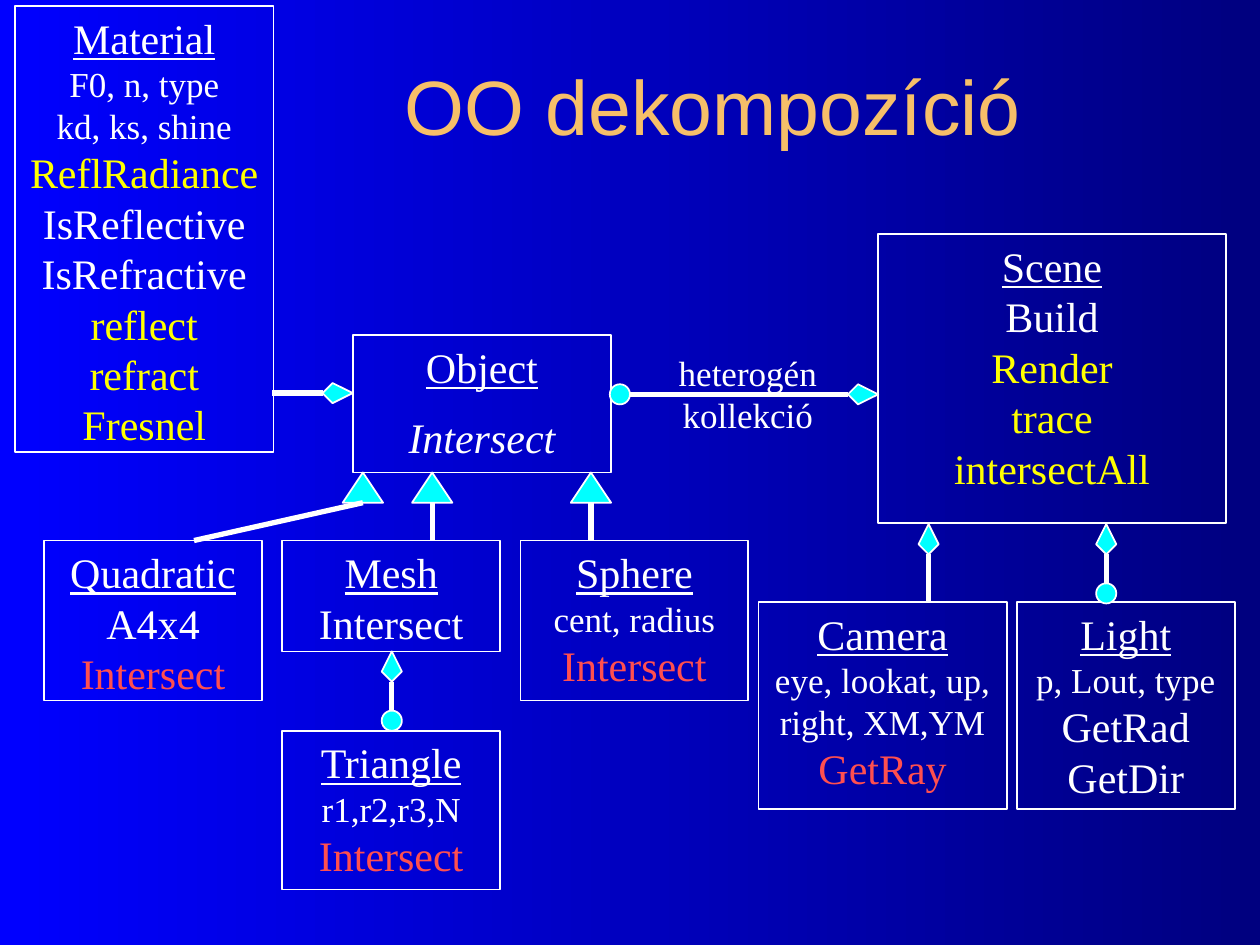
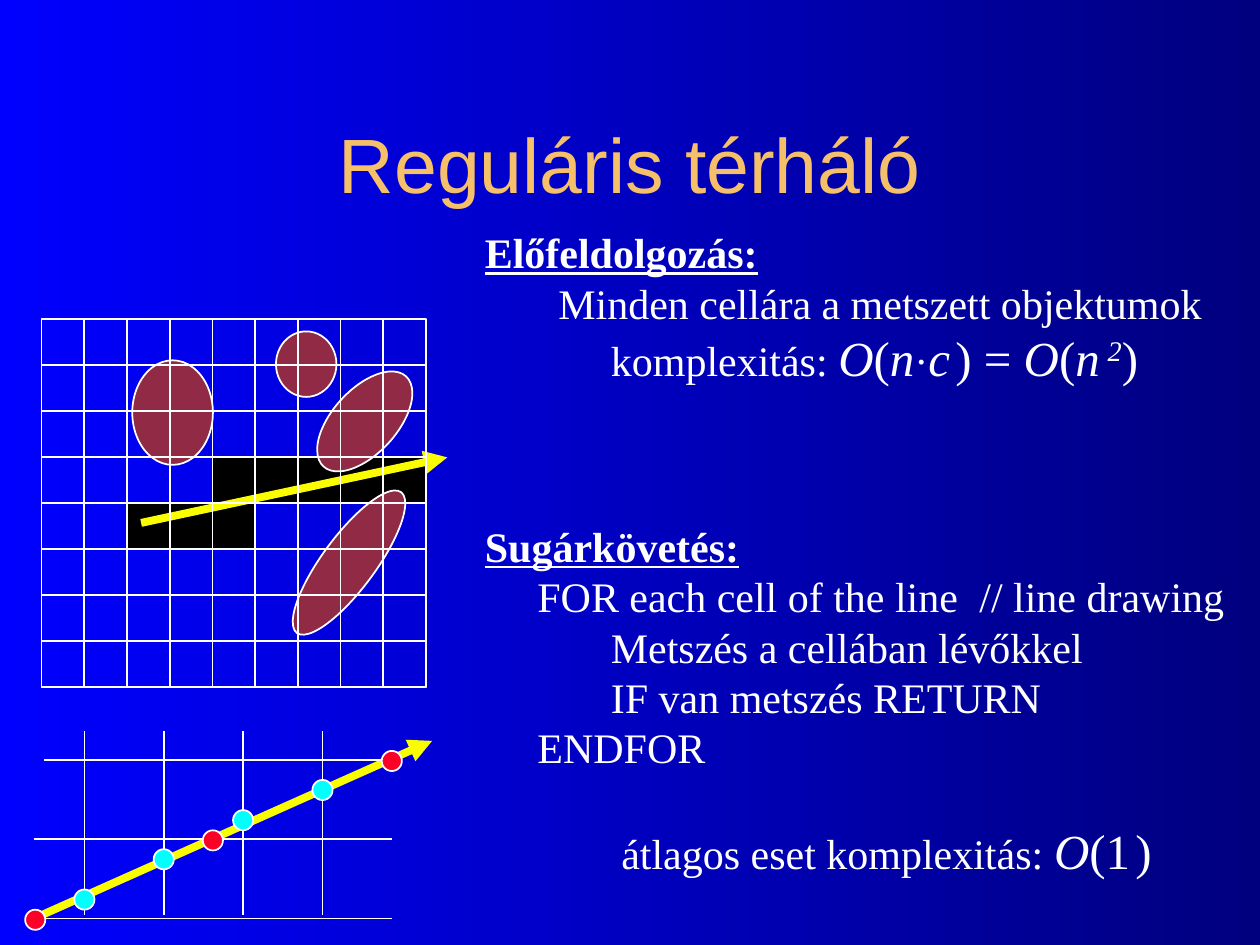
from pptx import Presentation, util as u
from pptx.dml.color import RGBColor
from pptx.enum import shapes as kinds, text as t
from pptx.oxml.ns import qn
from lxml import etree

WIDTH, HEIGHT = u.Inches(10), u.Inches(7.5)
COLUMNS, ROWS = 100, 75

BLUE = RGBColor(0x00, 0x00, 0xFF)
NAVY = RGBColor(0x00, 0x00, 0x7F)
GOLD = RGBColor(0xF6, 0xBF, 0x69)
WHITE = RGBColor(0xFF, 0xFF, 0xFF)
BLACK = RGBColor(0x00, 0x00, 0x00)
CYAN = RGBColor(0x00, 0xFF, 0xFF)
YELLOW = RGBColor(0xFF, 0xFF, 0x00)
CORAL = RGBColor(0xFF, 0x4F, 0x4F)
RAY_YELLOW = RGBColor(0xFA, 0xFD, 0x00)
MAROON = RGBColor(0x90, 0x2A, 0x45)
RED = RGBColor(0xFC, 0x01, 0x28)

BODY_FONT, TITLE_FONT = "Times New Roman", "Arial"
DOT = 1.6
KITE = [(0, 0), (1.6, 0.8), (2.4, 0), (1.6, -0.8)]
TRIANGLE = [(0, 0), (2.4, 1.6), (2.4, -1.6)]
UP, RIGHT = (0, -1), (1, 0)
OVAL, RECTANGLE = kinds.MSO_SHAPE.OVAL, kinds.MSO_SHAPE.RECTANGLE


def col(count):
    return round(WIDTH * count / COLUMNS)


def row(count):
    return round(HEIGHT * count / ROWS)


def area(left, top, width, height):
    return col(left), row(top), col(width), row(height)


def run(words, size=24, color=WHITE, extra=None, **marks):
    return words, size, color, extra or {}, marks


def line(*runs, indent=0, gap=0):
    return runs, indent, gap


def member(words, color=WHITE, size=24, gap=0, **marks):
    return line(run(words, size, color, **marks), gap=gap)


def heading(words, **marks):
    return member(words, underline=True, **marks)


def math(words, size=28, italic=True, extra=None):
    return run(words, size, extra=extra, italic=italic)


def write(frame, lines, align):
    frame.word_wrap = True
    frame.vertical_anchor = t.MSO_ANCHOR.TOP
    for index, (runs, indent, gap) in enumerate(lines):
        paragraph = frame.add_paragraph() if index else frame.paragraphs[0]
        paragraph.alignment = align
        if indent:
            paragraph._p.get_or_add_pPr().set("marL", str(col(indent)))
        if gap:
            paragraph.space_before = u.Pt(gap)
        for words, size, color, extra, marks in runs:
            piece = paragraph.add_run()
            piece.text = words
            piece.font.name, piece.font.size = BODY_FONT, u.Pt(size)
            piece.font.color.rgb = color
            for mark, value in marks.items():
                setattr(piece.font, mark, value)
            for key, value in extra.items():
                piece._r.get_or_add_rPr().set(key, value)


def finish(shape, fill=None):
    shape.shadow.inherit = False
    if fill is None:
        shape.fill.background()
    else:
        shape.fill.solid()
        shape.fill.fore_color.rgb = fill
    shape.line.color.rgb = WHITE
    shape.line.width = u.Pt(1)
    return shape


def figure(slide, kind, place, fill=None, turn=0):
    shape = finish(slide.shapes.add_shape(kind, *area(*place)), fill)
    shape.rotation = turn
    return shape


def dot(slide, x, y, fill=CYAN):
    figure(slide, OVAL, (x - DOT / 2, y - DOT / 2, DOT, DOT), fill)


def symbol(slide, tip, heading_to, profile):
    (x, y), (dx, dy) = tip, heading_to
    corners = [(col(x - back * dx - side * dy), row(y - back * dy + side * dx))
               for back, side in profile]
    builder = slide.shapes.build_freeform(*corners[0])
    builder.add_line_segments(corners[1:], close=True)
    finish(builder.convert_to_shape(), CYAN)


def stroke(slide, start, end, color=WHITE, weight=1, arrow=False):
    link = slide.shapes.add_connector(
        kinds.MSO_CONNECTOR.STRAIGHT,
        col(start[0]), row(start[1]), col(end[0]), row(end[1]))
    link.line.color.rgb = color
    link.line.width = u.Pt(weight)
    if arrow:
        etree.SubElement(link.line._get_or_add_ln(), qn("a:tailEnd"), type="triangle")
    etree.SubElement(link._element.spPr, qn("a:effectLst"))


def association(slide, tip, heading_to, end, many=False):
    symbol(slide, tip, heading_to, KITE)
    stroke(slide, [at - 2.4 * step for at, step in zip(tip, heading_to)], end, weight=3)
    if many:
        dot(slide, *end)


def inheritance(slide, tip_x, base, child):
    symbol(slide, (tip_x, base), UP, TRIANGLE)
    stroke(slide, child, (tip_x, base + 2.4), weight=3)


def class_box(slide, place, *lines):
    write(figure(slide, RECTANGLE, place).text_frame, lines, t.PP_ALIGN.CENTER)


def note(slide, place, *lines, align=t.PP_ALIGN.LEFT):
    write(slide.shapes.add_textbox(*area(*place)).text_frame, lines, align)


def titled_slide(deck, words, place):
    slide = deck.slides.add_slide(deck.slide_layouts[5])
    title = slide.shapes.title
    title.left, title.top, title.width, title.height = area(*place)
    title.text_frame.vertical_anchor = t.MSO_ANCHOR.MIDDLE
    paragraph = title.text_frame.paragraphs[0]
    paragraph.alignment = t.PP_ALIGN.CENTER
    piece = paragraph.add_run()
    piece.text = words
    piece.font.name, piece.font.size = TITLE_FONT, u.Pt(44)
    piece.font.color.rgb = GOLD
    return slide


def paint_background(deck):
    fill = deck.slide_master.background.fill
    fill.gradient()
    fill.gradient_angle = 0
    for stop, position, color in zip(fill.gradient_stops, (0, 1), (BLUE, NAVY)):
        stop.position = position
        stop.color.rgb = color


def decomposition(deck):
    slide = titled_slide(deck, "OO dekompozíció", (21.6, 2.1, 70, 12.5))
    class_box(slide, (69.7, 18.6, 27.6, 22.9), heading("Scene"), member("Build"),
              *(member(name, YELLOW) for name in ("Render", "trace", "intersectAll")))
    class_box(slide, (28, 26.6, 20.5, 10.9), heading("Object"),
              member("Intersect", gap=11.5, italic=True))
    class_box(slide, (60.2, 47.8, 19.7, 16.4), heading("Camera"),
              member("eye, lookat, up, right, XM,YM", size=20), member("GetRay", CORAL))
    class_box(slide, (80.7, 47.8, 17.3, 16.4), heading("Light"),
              member("p, Lout, type", size=20), member("GetRad"), member("GetDir"))
    class_box(slide, (1.2, 0.5, 20.5, 35.4), heading("Material"),
              member("F0, n, type", size=20), member("kd, ks, shine", size=20),
              member("ReflRadiance", YELLOW),
              member("IsReflective"), member("IsRefractive"),
              *(member(name, YELLOW) for name in ("reflect", "refract", "Fresnel")))
    class_box(slide, (41.3, 42.9, 18.1, 12.7), heading("Sphere"),
              member("cent, radius", size=20), member("Intersect", CORAL))
    class_box(slide, (22.4, 42.9, 17.3, 8.8), heading("Mesh"), member("Intersect"))
    class_box(slide, (22.4, 58, 17.3, 12.6), heading("Triangle"),
              member("r1,r2,r3,N", size=20), member("Intersect", CORAL))
    class_box(slide, (3.5, 42.9, 17.3, 12.7), heading("Quadratic"),
              member("A4x4"), member("Intersect", CORAL))
    note(slide, (52.4, 27.4, 13.9, 7.7), member("heterogén", size=20),
         member("kollekció", size=20), align=t.PP_ALIGN.CENTER)

    for tip_x, child_x in ((46.9, 46.9), (34.3, 34.3), (28.8, 15.4)):
        inheritance(slide, tip_x, 37.5, (child_x, 42.9))
    association(slide, (69.7, 31.3), RIGHT, (49.2, 31.3), many=True)
    association(slide, (28, 31.2), RIGHT, (21.6, 31.2))
    association(slide, (87.8, 41.6), UP, (87.8, 47.1), many=True)
    association(slide, (73.7, 41.6), UP, (73.7, 47.8))
    association(slide, (31.1, 51.7), UP, (31.1, 57.2), many=True)


def space_grid(slide):
    left, top, cell_w, cell_h, across, down = 3.3, 25.3, 3.39, 3.65, 9, 8

    def cells(column, line_no, wide, high, fill=None):
        figure(slide, RECTANGLE, (left + column * cell_w, top + line_no * cell_h,
                                  wide * cell_w, high * cell_h), fill)

    cells(4, 3, 5, 1, BLACK)
    cells(2, 4, 3, 1, BLACK)
    stroke(slide, (11.2, 41.5), (35.5, 36.3), RAY_YELLOW, 4.5, arrow=True)
    for place, turn in (((25.6, 37.7, 4.2, 13.9), 36.5), ((21.9, 26.3, 4.8, 5.2), 0),
                        ((10.5, 28.6, 6.4, 8.3), 0), ((26.4, 28.6, 5.1, 9.7), 42.5)):
        figure(slide, OVAL, place, MAROON, turn)
    for column in range(0, across, 2):
        cells(column, 0, 1, down)
    for line_no in range(1, down, 2):
        cells(0, line_no, across, 1)
    stroke(slide, (left, top), (left + across * cell_w, top))


def ray_steps(slide):
    step = 6.3
    columns = [6.7 + step * i for i in range(4)]
    for x in columns:
        stroke(slide, (x, 58), (x, 72.6))
    stroke(slide, (2.7, 72.9), (34.3, 58.8), RAY_YELLOW, 4.5, arrow=True)
    for i, x in enumerate((2.7, 2.7, 3.5)):
        y = 72.9 - step * i
        stroke(slide, (x, y), (x + 28.4, y))
    for x, y in zip(columns, (71.4, 68.2, 65.1, 62.7)):
        dot(slide, x, y)
    for i, x in enumerate((2.8, 16.9, 31.1)):
        dot(slide, x, 73 - step * i, RED)


def regular_grid(deck):
    slide = titled_slide(deck, "Reguláris térháló", (7.5, 6.7, 85, 12.5))
    space_grid(slide)
    ray_steps(slide)
    note(slide, (37.5, 17.5, 62, 21.7),
         heading("Előfeldolgozás:", bold=True),
         line(run("Minden cellára a metszett objektumok"), indent=5.83),
         line(run("komplexitás: "), math("O"), math("(", italic=False), math("n"),
              run("·"), math("c"), math(" ", 12), math(") = ", italic=False),
              math("O"), math("(", italic=False), math("n"), math(" ", 18),
              math("2", extra={"baseline": "30000"}), math(")", italic=False),
              indent=10))
    note(slide, (37.5, 40.8, 62, 29.7),
         heading("Sugárkövetés:", bold=True),
         line(run("FOR each cell of the line"), run(" ", extra={"spc": "600"}),
              run("// line drawing"), indent=4.17),
         line(run("Metszés a cellában lévőkkel"), indent=10),
         line(run("IF van metszés RETURN"), indent=10),
         line(run("ENDFOR"), indent=4.17),
         line(run("átlagos eset komplexitás: "), math("O"), math("(1", italic=False),
              math(" ", 12), math(")", italic=False), indent=10.83, gap=27.6))


def main():
    deck = Presentation()
    deck.slide_width, deck.slide_height = WIDTH, HEIGHT
    paint_background(deck)
    decomposition(deck)
    regular_grid(deck)
    deck.save("out.pptx")


if __name__ == "__main__":
    main()
